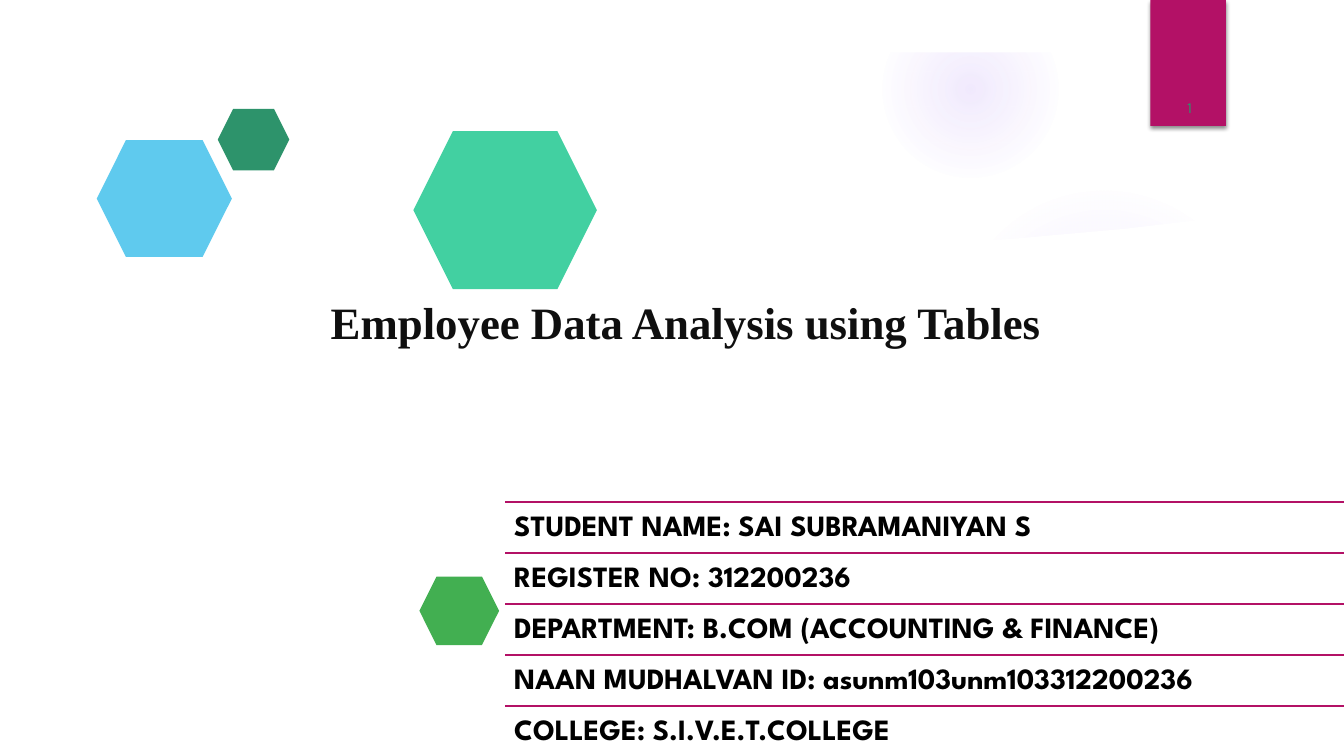
from lxml import etree
from pptx import Presentation
from pptx.dml.color import RGBColor
from pptx.enum.shapes import MSO_CONNECTOR, MSO_SHAPE as SHAPE
from pptx.enum.text import MSO_ANCHOR as ANCHOR, PP_ALIGN as ALIGN
from pptx.oxml import parse_xml
from pptx.oxml.ns import nsdecls, qn
from pptx.util import Inches, Pt

WHITE = RGBColor(0xFF, 0xFF, 0xFF)
BLACK = RGBColor(0, 0, 0)
INK = RGBColor(0x0F, 0x0F, 0x0F)
MAGENTA = RGBColor(0xB3, 0x11, 0x66)
SKY = RGBColor(0x5F, 0xCA, 0xEE)
TEAL = RGBColor(0x2D, 0x93, 0x6B)
MINT = RGBColor(0x42, 0xD0, 0xA1)
GREEN = RGBColor(0x42, 0xAF, 0x51)
VIOLET = RGBColor(0x9B, 0x6B, 0xF2)

HEXAGONS = [
    ((0.96, 1.39, 1.34, 1.16), SKY),
    ((2.16, 1.08, 0.71, 0.61), TEAL),
    ((4.1, 1.3, 1.82, 1.57), MINT),
    ((4.16, 5.72, 0.79, 0.68), GREEN),
]
# Each stop is (position %, opacity %)
GLOWS = [
    ((9.41, 1.83, 3.08, 3.08), [(0, 7), (36, 6), (69, 0), (100, 0)]),
    ((8.75, 0.01, 1.75, 1.75), [(0, 14), (36, 7), (73, 0), (100, 0)]),
]
PANEL = [(0.5, 7), (0.5, 2.04), (2.16, 2.24), (4.01, 2.38), (5.83, 2.46),
         (7.34, 2.48), (8.94, 2.44), (10.04, 2.37), (11.16, 2.27),
         (12, 2.17), (12.84, 2.04), (12.84, 7)]
DETAILS = [
    "STUDENT NAME: SAI SUBRAMANIYAN S",
    "REGISTER NO: 312200236",
    "DEPARTMENT: B.COM (ACCOUNTING & FINANCE)",
    "NAAN MUDHALVAN ID: asunm103unm103312200236",
    "COLLEGE: S.I.V.E.T.COLLEGE",
]
ROW_LEFT, ROW_TOP, ROW_WIDTH, ROW_STEP = 5.01, 4.98, 9.42, 0.505


class SlideBuilder:
    def __init__(self, slide):
        self.shapes = slide.shapes

    def paint(self, sp, color):
        sp.shadow.inherit = False
        sp.fill.solid()
        sp.fill.fore_color.rgb = color
        sp.line.fill.background()
        return sp

    def shape(self, kind, box, color):
        return self.paint(self.shapes.add_shape(kind, *map(Inches, box)), color)

    def hexagon(self, box, color):
        self.shape(SHAPE.HEXAGON, box, color).adjustments[0] = 0.25

    def polygon(self, points, color):
        points = [(Inches(x), Inches(y)) for x, y in points]
        builder = self.shapes.build_freeform(*points[0])
        builder.add_line_segments(points[1:], close=True)
        self.paint(builder.convert_to_shape(), color)

    def glow(self, box, stops):
        """Ellipse whose radial gradient fades outwards."""
        sp = self.shape(SHAPE.OVAL, box, VIOLET)
        gs = "".join(
            f'<a:gs pos="{pos * 1000}"><a:srgbClr val="{VIOLET}">'
            f'<a:alpha val="{alpha * 1000}"/></a:srgbClr></a:gs>'
            for pos, alpha in stops)
        solid = sp.element.spPr.find(qn("a:solidFill"))
        solid.getparent().replace(solid, parse_xml(
            f'<a:gradFill {nsdecls("a")}><a:gsLst>{gs}</a:gsLst>'
            '<a:path path="circle"><a:fillToRect l="50000" t="50000" '
            'r="50000" b="50000"/></a:path></a:gradFill>'))

    def tab(self, box, color):
        """Rectangle that casts a soft shadow downwards."""
        sp = self.shape(SHAPE.RECTANGLE, box, color)
        sp.element.spPr.find(qn("a:effectLst")).append(parse_xml(
            f'<a:outerShdw {nsdecls("a")} blurRad="{Pt(3)}" dist="{Pt(2)}" '
            'dir="5400000" rotWithShape="0"><a:srgbClr val="000000">'
            '<a:alpha val="45000"/></a:srgbClr></a:outerShdw>'))

    def rule(self, x, y, width, color):
        line = self.shapes.add_connector(
            MSO_CONNECTOR.STRAIGHT, Inches(x), Inches(y),
            Inches(x + width), Inches(y))
        line.line.color.rgb = color
        line.line.width = Pt(1.5)
        etree.SubElement(line.element.spPr, qn("a:effectLst"))

    def text(self, box, text, font, size, color, bold=False, align=ALIGN.LEFT,
             anchor=ANCHOR.TOP, insets=(0, 0, 0, 0), spacing=1.0):
        tf = self.shapes.add_textbox(*map(Inches, box)).text_frame
        tf.word_wrap = True
        tf.vertical_anchor = anchor
        (tf.margin_left, tf.margin_top,
         tf.margin_right, tf.margin_bottom) = map(Inches, insets)
        p = tf.paragraphs[0]
        p.alignment = align
        p.line_spacing = spacing
        r = p.add_run()
        r.text = text
        r.font.name = font
        r.font.size = Pt(size)
        r.font.bold = bold
        r.font.color.rgb = color


def main():
    prs = Presentation()
    prs.slide_width, prs.slide_height = Inches(13.33), Inches(7.5)
    s = SlideBuilder(prs.slides.add_slide(prs.slide_layouts[6]))

    for box, stops in GLOWS:
        s.glow(box, stops)
    s.polygon(PANEL, WHITE)
    s.shape(SHAPE.RECTANGLE, (0, 0, 13.33, 0.52), WHITE)
    s.tab((11.41, 0, 0.75, 1.25), MAGENTA)
    for box, color in HEXAGONS:
        s.hexagon(box, color)

    s.text((-0.23, 2.87, 10.92, 1.1), "Employee Data Analysis using Tables",
           "Times New Roman", 32, INK, bold=True, insets=(3.51, 0.05, 0, 0))
    s.text((11.32, 0.32, 0.92, 0.84), "1", "Karla", 11, TEAL,
           align=ALIGN.CENTER, anchor=ANCHOR.BOTTOM, insets=(0.04, 0.01, 0, 0))

    for i, detail in enumerate(DETAILS):
        top = ROW_TOP + i * ROW_STEP
        s.rule(ROW_LEFT, top, ROW_WIDTH, MAGENTA)
        s.text((ROW_LEFT, top, ROW_WIDTH, ROW_STEP), detail, "League Spartan",
               21, BLACK, bold=True, insets=(0.09,) * 4, spacing=0.9)

    prs.save("out.pptx")


if __name__ == "__main__":
    main()
